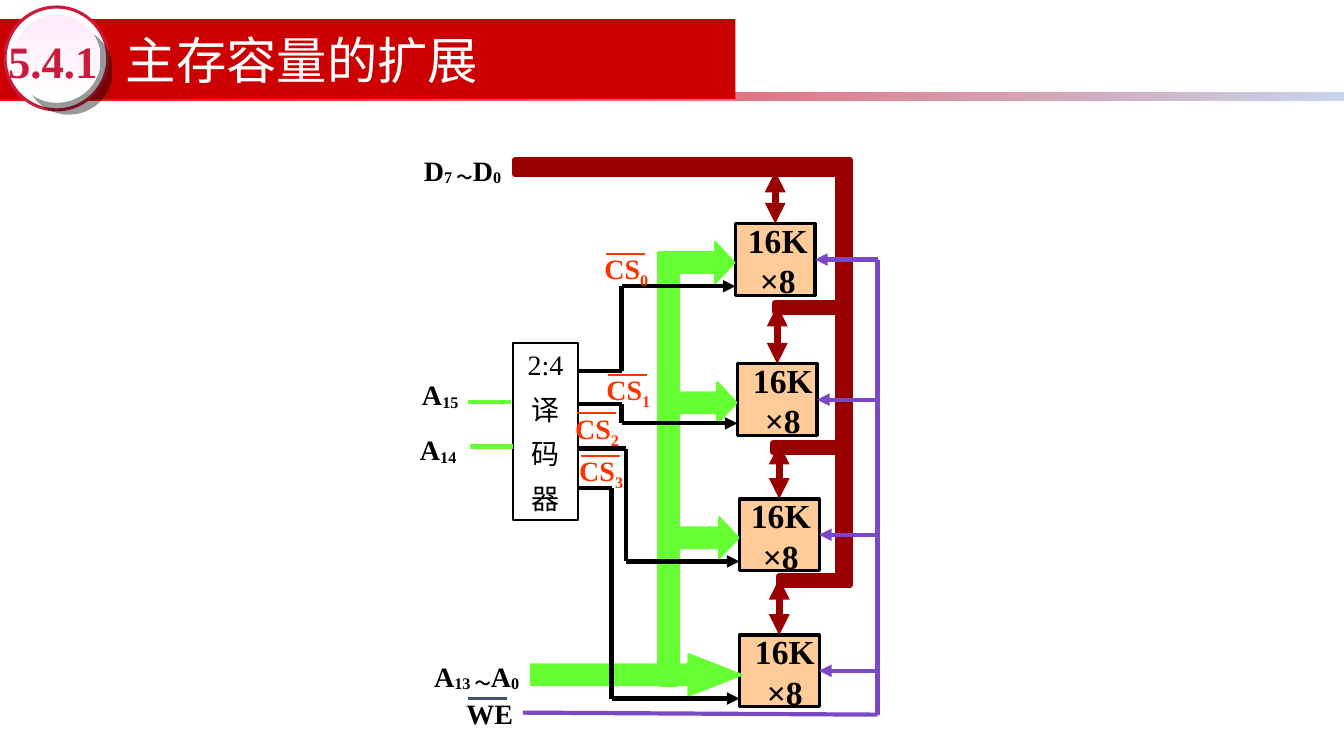
from lxml import etree
from pptx import Presentation
from pptx import util as u
from pptx.dml.color import RGBColor
from pptx.enum import shapes, text
from pptx.oxml.ns import qn

CELL = u.Inches(0.1)
COLUMNS, ROWS = 133.4, 75
SERIF, HAN = "Times New Roman", "Noto Sans CJK SC"
BLACK, WHITE, CRIMSON = "000000", "FFFFFF", "CB1B3D"
GREEN, MAROON, PURPLE, ORANGE = "66FF33", "990000", "7A48C4", "FF3300"
SHAPE = shapes.MSO_SHAPE
CHIP_W, CHIP_H = 7.9, 7.1

# chip column, chip row, caption column, data arrow row
CHIPS = [(73, 22.2, 69.8, 17), (73.2, 36.1, 70.3, 30.3),
         (73.4, 49.5, 70.1, 44), (73.4, 63, 70.5, 57.4)]
# decoder output row, knee column, chip input row
SELECTS = [(36.8, 61.7, 28.4), (40.1, 61.7, 42),
           (44.5, 62.1, 55.7), (48.4, 60.7, 69.3)]
SELECT_LABELS = [(59, 24.5), (59.2, 36.5), (56.1, 40.3), (56.5, 44.5)]
DATA_STUBS = [(76.9, 30.1), (76.7, 44), (77.3, 57.2)]


def grid(*cells):
    """Convert grid cells to slide lengths."""
    return [u.Emu(round(cell * CELL)) for cell in cells]


def color(value):
    """Return the colour of a hex string."""
    return RGBColor.from_string(value)


def add_block(page, kind, place, fill=None, line=None, width=1.5):
    """Add a preset shape with a plain, gradient or empty fill."""
    block = page.shapes.add_shape(kind, *grid(*place))
    block.shadow.inherit = False
    if fill is None:
        block.fill.background()
    elif isinstance(fill, tuple):
        first, last, angle = fill
        block.fill.gradient()
        block.fill.gradient_angle = angle
        for stop, value in zip(block.fill.gradient_stops, (first, last)):
            stop.color.rgb = color(value)
    else:
        block.fill.solid()
        block.fill.fore_color.rgb = color(fill)
    if line:
        block.line.color.rgb = color(line)
        block.line.width = u.Pt(width)
    else:
        block.line.fill.background()
    return block


def add_line(page, start, end, line, width=3, heads=()):
    """Add a straight connector with triangles at the named ends."""
    wire = page.shapes.add_connector(shapes.MSO_CONNECTOR.STRAIGHT, *grid(*start, *end))
    wire.line.color.rgb = color(line)
    wire.line.width = u.Pt(width)
    for head in heads:
        etree.SubElement(wire.line._get_or_add_ln(), qn(f"a:{head}"), type="triangle")
    etree.SubElement(wire._element.spPr, qn("a:effectLst"))
    return wire


def style_span(span, size, ink, bold, font=SERIF, shift=0):
    """Set the font of a run and its baseline shift in percent."""
    span.font.size, span.font.bold, span.font.name = u.Pt(size), bold, font
    span.font.color.rgb = color(ink)
    props = span._r.get_or_add_rPr()
    etree.SubElement(props, qn("a:ea"), typeface=HAN)
    if shift:
        props.set("baseline", str(shift * 1000))


def write_lines(box, lines, size, ink=BLACK, bold=True, spacing=1.0, before=0, font=SERIF):
    """Fill a shape with centred lines, tightening those after the first."""
    frame = box.text_frame
    frame.word_wrap = True
    frame.text = "\n".join(lines)
    for index, para in enumerate(frame.paragraphs):
        para.alignment = text.PP_ALIGN.CENTER
        if index:
            para.line_spacing, para.space_before = spacing, u.Pt(before)
        style_span(para.runs[0], size, ink, bold, font)


def add_heading(page, place, words, size, ink, bold, font, inset):
    """Add a one-line heading anchored in the middle."""
    box = page.shapes.add_textbox(*grid(*place))
    write_lines(box, [words], size, ink, bold, font=font)
    frame = box.text_frame
    frame.vertical_anchor = text.MSO_ANCHOR.MIDDLE
    frame.paragraphs[0].alignment = text.PP_ALIGN.LEFT
    frame.margin_left, frame.margin_right = grid(inset, inset)
    frame.margin_top, frame.margin_bottom = grid(inset / 2, inset / 2)


def add_signal(page, column, row, *parts, ink=BLACK, shift=-10, overline=None):
    """Add a signal name of alternating normal and subscript parts."""
    frame = page.shapes.add_textbox(*grid(column, row, 12.9, 4.4)).text_frame
    frame.word_wrap = True
    for index, part in enumerate(parts):
        span = frame.paragraphs[0].add_run()
        span.text = part
        style_span(span, 20, ink, True, shift=shift * (index % 2))
    if overline:
        left, top = column + 1.2, row + 0.7
        add_line(page, (left, top), (left + 3.8, top), overline, 1.5)


def add_banner(page):
    """Draw the title bar and its numbered badge."""
    add_block(page, SHAPE.RECTANGLE, (0, 9.2, COLUMNS, 0.8), ("FF0000", "C7D5ED", 315))
    add_block(page, SHAPE.RECTANGLE, (0, 1.9, 73, 7.9), "CC0000")
    add_block(page, SHAPE.OVAL, (0.5, 0.7, 10.2, 10.2), WHITE, CRIMSON, 2.25)
    disc = add_block(page, SHAPE.OVAL, (1.3, 1.5, 8.7, 8.7), (WHITE, "FFEBFA", 90))
    effects = disc._element.spPr.find(qn("a:effectLst"))
    shade = etree.SubElement(effects, qn("a:outerShdw"), blurRad="0",
                             dist=str(u.Pt(12.1)), dir="2700000", algn="ctr")
    tint = etree.SubElement(shade, qn("a:srgbClr"), val=BLACK)
    etree.SubElement(tint, qn("a:alpha"), val="40000")
    add_heading(page, (11.5, 1.8, 74.4, 8.2), "主存容量的扩展", 36, WHITE, False, HAN, 1)
    add_heading(page, (0.8, 3.3, 9.3, 5.4), "5.4.1", 32, CRIMSON, True, SERIF, 0)


def add_address_bus(page):
    """Draw the green address bus with one arrow per chip."""
    places = [(left - 7.7, top + 1.8, 7.6, 4.1) for left, top, _, _ in CHIPS[:3]]
    for place in places + [(52.7, 64.9, 20.9, 4.1)]:
        arrow = add_block(page, SHAPE.RIGHT_ARROW, place, GREEN, GREEN)
        arrow.adjustments[1] = 0.465 if place[2] < 10 else 1.285
    add_block(page, SHAPE.RECTANGLE, (65.55, 25.55, 1.6, 42.3), GREEN, GREEN, 4.5)


def add_data_bus(page, chips):
    """Draw the maroon data bus and its two-way arrows."""
    for chip, (left, top, _, start) in zip(chips, CHIPS):
        middle = left + CHIP_W / 2
        arrow = add_line(page, (middle, start), (middle, top), MAROON, 5, ("headEnd", "tailEnd"))
        arrow.end_connect(chip, 0)
    stubs = [(left, top, 7.1, 0.8) for left, top in DATA_STUBS]
    for place in [(51.1, 15.9, 32.5, 1.4), (83.2, 15.9, 1.2, 41.7)] + stubs:
        add_block(page, SHAPE.RECTANGLE, place, MAROON, MAROON, 4.5)


def add_write_line(page, chips):
    """Draw the purple write-enable line to every chip."""
    rows = [top + CHIP_H / 2 for _, top, _, _ in CHIPS]
    for chip, (left, _, _, _), row in zip(chips, CHIPS, rows):
        arrow = add_line(page, (87.1, row), (left + CHIP_W, row), PURPLE, heads=("tailEnd",))
        arrow.end_connect(chip, 3)
    add_line(page, (87.1, rows[0]), (87.1, 70.9), PURPLE)
    add_line(page, (51.9, 70.7), (87.1, 70.9), PURPLE)


def add_decoder(page):
    """Draw the decoder with its inputs and chip-select outputs."""
    decoder = add_block(page, SHAPE.RECTANGLE, (50.9, 34, 6.5, 17.6), None, BLACK)
    write_lines(decoder, ["2:4", "译", "码", "器"], 20, bold=False, spacing=0.8, before=12.5)
    for (row, knee, target), (left, _, _, _) in zip(SELECTS, CHIPS):
        add_line(page, (57.3, row), (knee, row), BLACK)
        add_line(page, (knee, row), (knee, target), BLACK)
        add_line(page, (knee, target), (left, target), BLACK, heads=("tailEnd",))
    for left, row in [(46.5, 39.9), (46.7, 44.3)]:
        add_line(page, (left, row), (left + 4.2, row), GREEN)


def main():
    """Build the memory expansion slide."""
    deck = Presentation()
    deck.slide_width, deck.slide_height = grid(COLUMNS, ROWS)
    page = deck.slides.add_slide(deck.slide_layouts[6])
    add_banner(page)
    chips = [add_block(page, SHAPE.RECTANGLE, (left, top, CHIP_W, CHIP_H), "FFCC99", BLACK, 2.25)
             for left, top, _, _ in CHIPS]
    add_address_bus(page)
    for _, top, caption, _ in CHIPS:
        box = page.shapes.add_textbox(*grid(caption, top - 0.9, 14.8, 8.7))
        write_lines(box, ["16K", "×8"], 24, spacing=0.4, before=15)
    add_signal(page, 41.1, 14.7, "D", "7 ～", "D", "0")
    add_signal(page, 42.1, 64.9, "A", "13 ～", "A", "0")
    add_data_bus(page, chips)
    add_write_line(page, chips)
    add_decoder(page)
    add_signal(page, 40.9, 37, "A", "15")
    add_signal(page, 40.7, 42.4, "A", "14")
    add_signal(page, 45.3, 68.6, "WE", overline="44546A")
    for index, (column, row) in enumerate(SELECT_LABELS):
        add_signal(page, column, row, "CS", str(index), ink=ORANGE, shift=-25, overline=ORANGE)
    deck.save("out.pptx")


if __name__ == "__main__":
    main()
